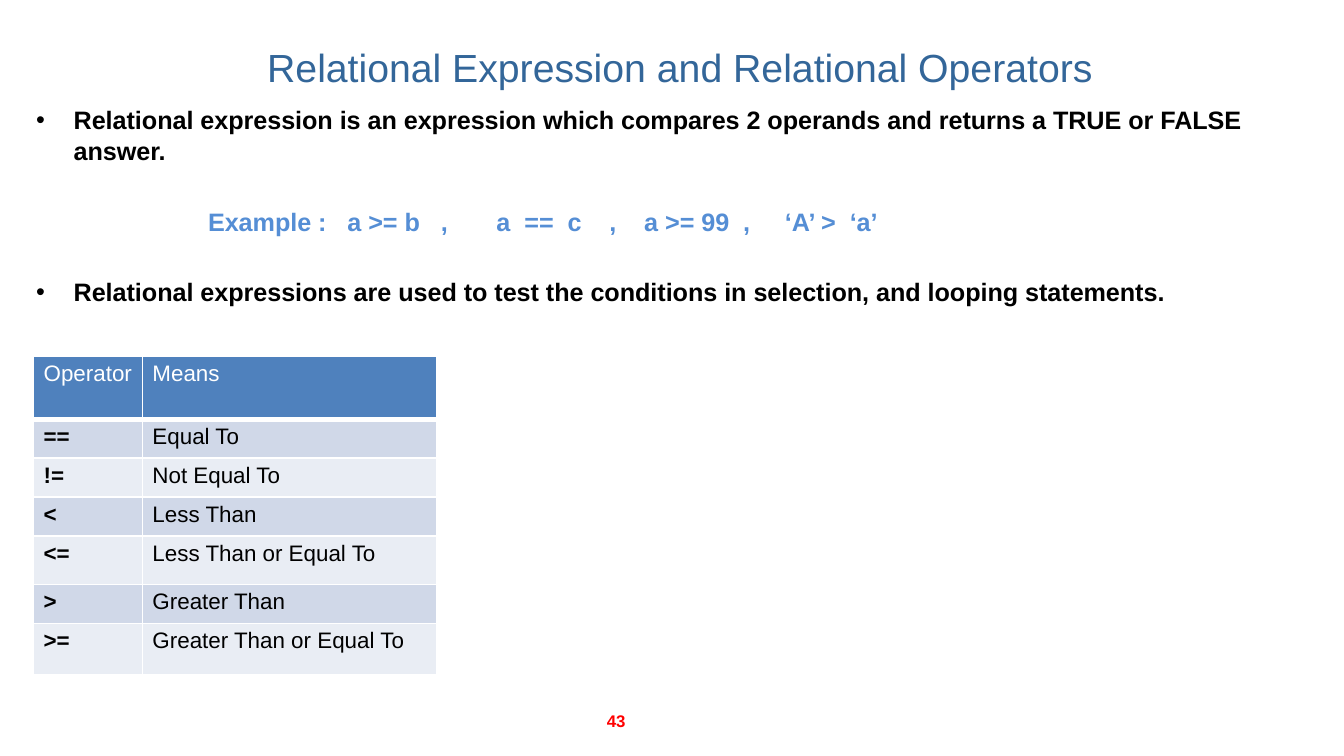
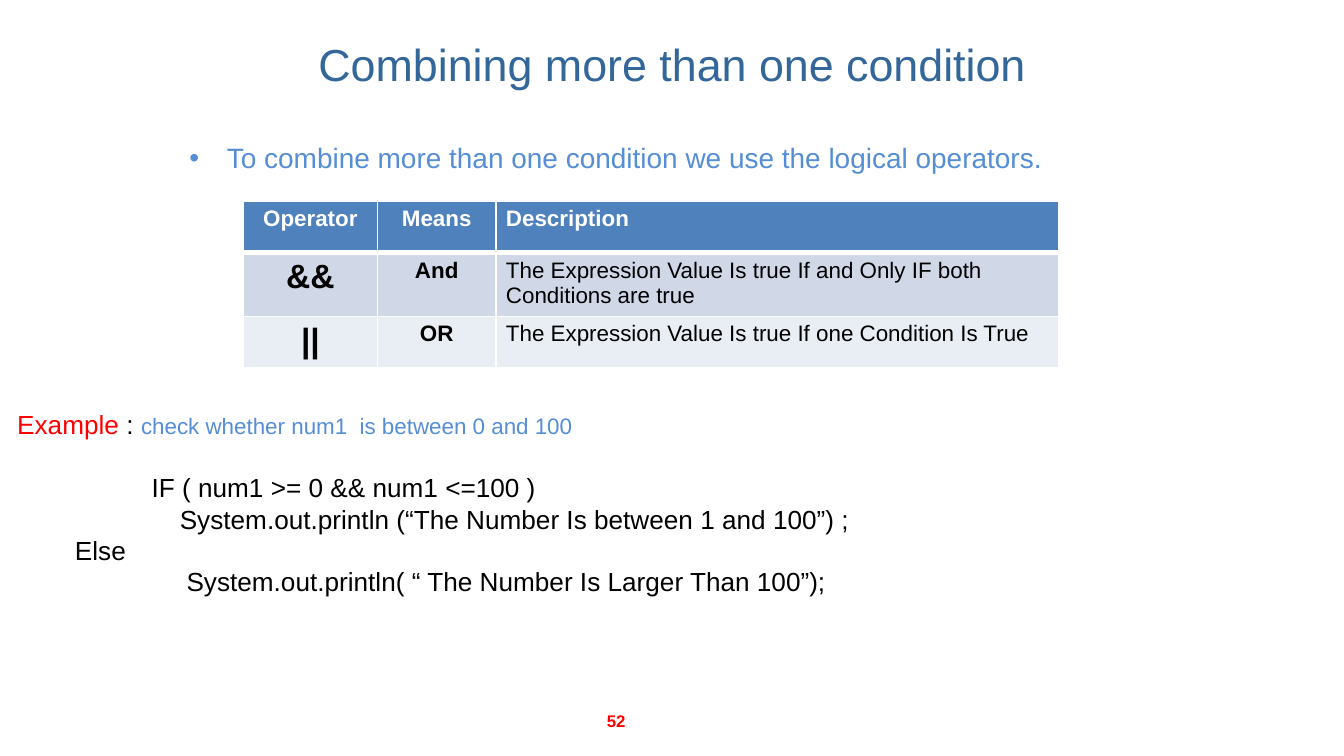
from dataclasses import dataclass

from lxml import etree
from pptx import Presentation, util as u
from pptx.dml.color import RGBColor
from pptx.enum import text as t
from pptx.oxml.ns import qn

LEFT, CENTER = t.PP_ALIGN.LEFT, t.PP_ALIGN.CENTER
TOP, MIDDLE = t.MSO_ANCHOR.TOP, t.MSO_ANCHOR.MIDDLE


@dataclass(frozen=True)
class Theme:
    font: str = "Arial"
    # Colours
    title: str = "336699"
    ink: str = "000000"
    accent: str = "558ED5"
    alert: str = "FF0000"
    header: str = "4F81BD"
    bands: tuple = ("D0D8E8", "E9EDF4")
    white: str = "FFFFFF"
    # Type sizes
    body_size: float = 13.5
    lead_size: float = 15
    code_size: float = 14
    cell_size: float = 12
    symbol_size: float = 18
    page_size: float = 9
    # Hanging indent of bullets, in inches
    hang: float = 0.28


THEME = Theme()


def write(paragraph, text, size=THEME.body_size, color=THEME.ink, bold=False):
    """Add one formatted run to a paragraph."""
    run = paragraph.add_run()
    run.text = text
    font = run.font
    font.name, font.size, font.bold = THEME.font, u.Pt(size), bold
    font.color.rgb = RGBColor.from_string(color)


def sub(parent, tag, **attributes):
    """Append a DrawingML element."""
    element = etree.SubElement(parent, qn(tag))
    for key, value in attributes.items():
        element.set(key, str(value))
    return element


class Deck:
    """Holds the theme, the presentation and the current slide."""

    def __init__(self, theme):
        self.theme = theme
        self.prs = Presentation()
        self.prs.slide_width = u.Inches(10)
        self.prs.slide_height = u.Inches(10 * 9 / 16)
        self.slide = None

    def new_slide(self, title, title_box, title_size, page):
        self.slide = self.prs.slides.add_slide(self.prs.slide_layouts[6])
        heading = self.text_box(title_box, MIDDLE)
        write(self.paragraph(heading, align=CENTER), title,
              size=title_size, color=self.theme.title)
        number = self.text_box((3.42, 5.21, 2.33, 0.3), MIDDLE)
        write(self.paragraph(number, align=CENTER), page,
              size=self.theme.page_size, color=self.theme.alert, bold=True)

    def text_box(self, box, anchor=TOP):
        frame = self.slide.shapes.add_textbox(*map(u.Inches, box)).text_frame
        frame.word_wrap = True
        frame.vertical_anchor = anchor
        return frame

    def paragraph(self, frame, align=LEFT, before=0, indent=0, bullet=False):
        """Return the first paragraph while it is empty, then new ones."""
        first = frame.paragraphs[0]
        paragraph = frame.add_paragraph() if first.runs else first
        paragraph.alignment = align
        paragraph.space_before = u.Pt(before)
        props = paragraph._p.get_or_add_pPr()
        hang = self.theme.hang if bullet else 0
        props.set("marL", str(u.Inches(indent + hang)))
        props.set("indent", str(-u.Inches(hang)))
        if bullet:
            sub(props, "a:buFont", typeface=self.theme.font)
            sub(props, "a:buChar", char="•")
        return paragraph

    def border(self, cell, bottom):
        props = cell._tc.get_or_add_tcPr()
        for position, (side, width) in enumerate(
                (("L", 1), ("R", 1), ("T", 1), ("B", bottom))):
            line = sub(props, f"a:ln{side}", w=u.Pt(width))
            sub(sub(line, "a:solidFill"), "a:srgbClr", val=self.theme.white)
            props.insert(position, line)

    def table(self, origin, widths, heights, rows, aligns, bolds, sizes, header_bold):
        """Draw a header row over banded rows; formats go by column."""
        theme = self.theme
        box = (*origin, sum(widths), sum(heights))
        table = self.slide.shapes.add_table(
            len(rows), len(widths), *map(u.Inches, box)).table
        for column, width in zip(table.columns, widths):
            column.width = u.Inches(width)
        for i, (row, height) in enumerate(zip(rows, heights)):
            table.rows[i].height = u.Inches(height)
            header = i == 0
            fill = theme.header if header else theme.bands[(i - 1) % 2]
            for j, value in enumerate(row):
                cell = table.cell(i, j)
                cell.margin_left = cell.margin_right = u.Pt(5.4)
                cell.margin_top = cell.margin_bottom = u.Pt(2.7)
                cell.fill.solid()
                cell.fill.fore_color.rgb = RGBColor.from_string(fill)
                self.border(cell, bottom=3 if header else 1)
                write(self.paragraph(cell.text_frame, align=aligns[j]), value,
                      size=theme.cell_size if header else sizes[j],
                      color=theme.white if header else theme.ink,
                      bold=header_bold if header else bolds[j])


def relational_slide(deck):
    theme = deck.theme
    deck.new_slide("Relational Expression and Relational Operators",
                   (1.62, 0.19, 6.88, 0.62), 21, "43")

    # Definition, example and use
    body = deck.text_box((0.17, 0.73, 9.75, 1.66))
    write(deck.paragraph(body, before=1.5, bullet=True),
          "Relational expression is an expression which compares 2 operands "
          "and returns a TRUE or FALSE answer.", bold=True)
    write(deck.paragraph(body, before=22, indent=1.28),
          "Example :   a >= b   ,       a  ==  c    ,    a >= 99  ,     ‘A’ >  ‘a’",
          color=theme.accent, bold=True)
    write(deck.paragraph(body, before=21.5, bullet=True),
          "Relational expressions are used to test the conditions in selection, "
          "and looping statements.", bold=True)

    # Operators
    operators = [
        ("Operator", "Means"),
        ("==", "Equal To"),
        ("!=", "Not Equal To"),
        ("<", "Less Than"),
        ("<=", "Less Than or Equal To"),
        (">", "Greater Than"),
        (">=", "Greater Than or Equal To"),
    ]
    deck.table((0.25, 2.65), (0.81, 2.19),
               (0.47, 0.29, 0.29, 0.29, 0.36, 0.29, 0.38), operators,
               aligns=(LEFT, LEFT), bolds=(True, False),
               sizes=(theme.cell_size,) * 2, header_bold=False)


def logical_slide(deck):
    theme = deck.theme
    deck.new_slide("Combining more than one condition", (0.5, 0, 9, 0.94), 24, "52")

    # Lead sentence
    lead = deck.text_box((1.31, 1, 6.71, 0.5))
    write(deck.paragraph(lead, before=3.5, bullet=True),
          "To combine more than one condition we use the logical operators.",
          size=theme.lead_size, color=theme.accent)

    # Logical operators
    operators = [
        ("Operator", "Means", "Description"),
        ("&&", "And",
         "The Expression Value Is true If and Only IF both Conditions are true"),
        ("||", "OR", "The Expression Value Is true If one Condition Is True"),
    ]
    deck.table((1.81, 1.5), (1, 0.88, 4.19), (0.38, 0.47, 0.38), operators,
               aligns=(CENTER, CENTER, LEFT), bolds=(True, True, False),
               sizes=(theme.symbol_size, theme.cell_size, theme.cell_size),
               header_bold=True)

    # Example and its code
    example = deck.text_box((0.03, 2.99, 8, 1.75))
    task = deck.paragraph(example)
    write(task, "Example", size=theme.code_size, color=theme.alert)
    write(task, " : ", size=theme.code_size)
    write(task, "check whether num1  is between 0 and 100",
          size=theme.cell_size, color=theme.accent)
    code = [
        (1, 17, "IF ( num1 >= 0 && num1 <=100 )"),
        (1.21, 0, "System.out.println (“The Number Is between 1 and 100”) ;"),
        (0.43, 0, "Else"),
        (1.26, 0, "System.out.println( “ The Number Is Larger Than 100”);"),
    ]
    for indent, before, line in code:
        write(deck.paragraph(example, before=before, indent=indent), line,
              size=theme.code_size)


def main():
    deck = Deck(THEME)
    relational_slide(deck)
    logical_slide(deck)
    deck.prs.save("out.pptx")


if __name__ == "__main__":
    main()
